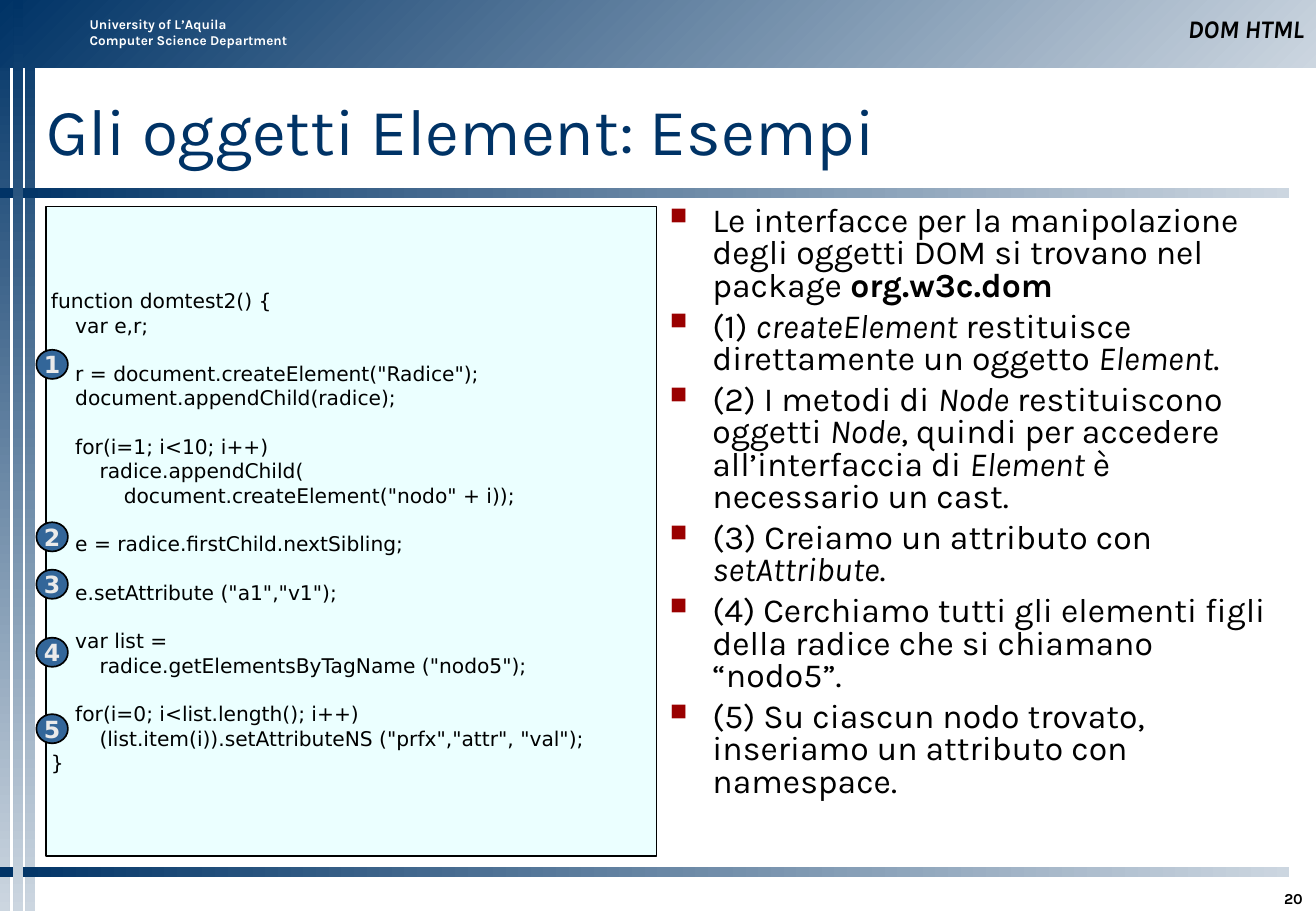
"""Build the slide with DOM Element examples: code on the left, notes on the right."""
from dataclasses import dataclass, field
from typing import Any

import lxml.etree
import pptx
import pptx.dml.color
import pptx.enum.shapes
import pptx.enum.text
import pptx.oxml.ns
import pptx.util

Inches = pptx.util.Inches
Pt = pptx.util.Pt
RGBColor = pptx.dml.color.RGBColor
Shape = pptx.enum.shapes.MSO_SHAPE
Align = pptx.enum.text.PP_ALIGN
Anchor = pptx.enum.text.MSO_ANCHOR

NAVY = RGBColor(0x00, 0x33, 0x66)
MIST = RGBColor(0xCC, 0xD6, 0xE0)
STEEL = RGBColor(0x33, 0x66, 0x99)
SILVER = RGBColor(0xEA, 0xEA, 0xEA)
ICE = RGBColor(0xEB, 0xFF, 0xFF)
CRIMSON = RGBColor(0x9A, 0x00, 0x00)
BLACK = RGBColor(0x00, 0x00, 0x00)
WHITE = RGBColor(0xFF, 0xFF, 0xFF)

HEADING_FONT = "Karla"
CODE_FONT = "DejaVu Sans"
BAR = 0.08
CODE_INDENT = 0.2
CODE_LINE = Pt(14.4)


@dataclass(frozen=True)
class Box:
    left: float
    top: float
    width: float
    height: float

    def emu(self) -> tuple[int, ...]:
        return tuple(Inches(side) for side in (self.left, self.top, self.width, self.height))


@dataclass(frozen=True)
class Band:
    box: Box
    angle: int


@dataclass(frozen=True)
class Span:
    text: str
    style: dict[str, Any] = field(default_factory=dict)


@dataclass(frozen=True)
class Paragraph:
    spans: tuple[Span, ...]
    layout: dict[str, Any] = field(default_factory=dict)
    margin: float = 0
    bullet: bool = False


@dataclass(frozen=True)
class Copy:
    paragraphs: list[Paragraph]
    font: dict[str, Any]
    color: RGBColor
    insets: tuple[float, float, float, float] = (0, 0, 0, 0)
    frame: dict[str, Any] = field(default_factory=dict)


def italic(text: str) -> Span:
    return Span(text, {"italic": True})


def single(text: str, **layout: Any) -> list[Paragraph]:
    return [Paragraph((Span(text),), layout)]


def note(*parts: str | Span) -> Paragraph:
    spans = tuple(Span(part) if isinstance(part, str) else part for part in parts)
    return Paragraph(spans, {"line_spacing": 0.8, "space_before": Pt(5)}, 0.35, True)


BANDS = [
    Band(Box(0, 0, BAR, 7.5), 270),
    Band(Box(0.21, 0, BAR, 7.5), 270),
    Band(Box(0, 0, 10.84, 0.56), 315),
    Band(Box(0, 1.55, 10.62, BAR), 0),
    Band(Box(0, 7.14, 10.62, BAR), 0),
    Band(Box(0.11, 0, BAR, 7.5), 270),
]

NOTES = [
    note("Le interfacce per la manipolazione degli oggetti DOM si trovano nel package ",
         Span("org.w3c.dom", {"bold": True})),
    note("(1) ", italic("createElement"), " restituisce direttamente un oggetto ",
         italic("Element"), "."),
    note("(2) I metodi di ", italic("Node"), " restituiscono oggetti ", italic("Node"),
         ", quindi per accedere all’interfaccia di ", italic("Element"),
         " è necessario un cast."),
    note("(3) Creiamo un attributo con ", italic("setAttribute"), "."),
    note("(4) Cerchiamo tutti gli elementi figli della radice che si chiamano “nodo5”."),
    note("(5) Su ciascun nodo trovato, inseriamo un attributo con namespace."),
]

CODE_BLOCKS = [
    [(0, "function domtest2() {"), (1, "var e,r;")],
    [(1, 'r = document.createElement("Radice");'), (1, "document.appendChild(radice);")],
    [(1, "for(i=1; i<10; i++)"), (2, "radice.appendChild("),
     (3, 'document.createElement("nodo" + i));')],
    [(1, "e = radice.firstChild.nextSibling;")],
    [(1, 'e.setAttribute ("a1","v1");')],
    [(1, "var list ="), (2, 'radice.getElementsByTagName ("nodo5");')],
    [(1, "for(i=0; i<list.length(); i++)"),
     (2, '(list.item(i)).setAttributeNS ("prfx","attr", "val");'), (0, "}")],
]
CODE = [
    Paragraph((Span(text),),
              {"space_before": CODE_LINE if block_no and not line_no else Pt(0)},
              depth * CODE_INDENT)
    for block_no, block in enumerate(CODE_BLOCKS)
    for line_no, (depth, text) in enumerate(block)
]

BADGE_TOPS = [2.88, 4.3, 4.69, 5.25, 5.88]

LABELS = [
    (Box(0.64, 0.08, 2.01, 0.37), Copy(
        single("University of L’Aquila\vComputer Science Department", space_before=Pt(5)),
        {"name": HEADING_FONT, "size": Pt(8), "bold": True}, WHITE,
        (0.1, 0.05, 0.1, 0.05))),
    (Box(5.42, 1.7, 5.21, 5.42), Copy(
        NOTES, {"name": HEADING_FONT, "size": Pt(20)}, BLACK, (0.1, 0, 0.1, 0))),
    (Box(0.38, 0.58, 10.27, 0.96), Copy(
        single("Gli oggetti Element: Esempi"),
        {"name": HEADING_FONT, "size": Pt(39)}, NAVY,
        frame={"vertical_anchor": Anchor.MIDDLE})),
    (Box(9.65, 7.22, 1.18, 0.25), Copy(
        single("20", alignment=Align.RIGHT),
        {"name": HEADING_FONT, "size": Pt(9), "bold": True}, BLACK, (0.1, 0.05, 0.1, 0),
        {"vertical_anchor": Anchor.BOTTOM, "word_wrap": False})),
    (Box(5.6, 0.08, 5.24, 0.33), Copy(
        single("DOM HTML", alignment=Align.RIGHT),
        {"name": HEADING_FONT, "size": Pt(15), "bold": True, "italic": True}, BLACK,
        (0.1, 0.05, 0.1, 0.05), {"vertical_anchor": Anchor.BOTTOM})),
]


def apply(target: Any, values: dict[str, Any]) -> None:
    for name, value in values.items():
        setattr(target, name, value)


def add_bullet(properties: Any) -> None:
    qn = pptx.oxml.ns.qn
    color = lxml.etree.SubElement(properties, qn("a:buClr"))
    lxml.etree.SubElement(color, qn("a:srgbClr"), val=str(CRIMSON))
    lxml.etree.SubElement(properties, qn("a:buSzPct"), val="70000")
    lxml.etree.SubElement(properties, qn("a:buChar"), char="■")


def write(frame: Any, copy: Copy) -> None:
    sides = ("margin_left", "margin_top", "margin_right", "margin_bottom")
    insets = {side: Inches(inset) for side, inset in zip(sides, copy.insets)}
    apply(frame, {"word_wrap": True, "vertical_anchor": Anchor.TOP, **insets, **copy.frame})
    for number, paragraph in enumerate(copy.paragraphs):
        line = frame.add_paragraph() if number else frame.paragraphs[0]
        apply(line, {"alignment": Align.LEFT, **paragraph.layout})
        properties = line._p.get_or_add_pPr()
        properties.set("marL", str(Inches(paragraph.margin)))
        if paragraph.bullet:
            properties.set("indent", str(-Inches(paragraph.margin)))
            add_bullet(properties)
        for span in paragraph.spans:
            for part_no, part in enumerate(span.text.split("\v")):
                if part_no:
                    line.add_line_break()
                run = line.add_run()
                run.text = part
                apply(run.font, {**copy.font, **span.style})
                run.font.color.rgb = copy.color


def add_band(slide: Any, band: Band) -> None:
    stripe = slide.shapes.add_shape(Shape.RECTANGLE, *band.box.emu())
    stripe.shadow.inherit = False
    stripe.line.fill.background()
    stripe.fill.gradient()
    stripe.fill.gradient_angle = band.angle
    for stop, color in zip(stripe.fill.gradient_stops, (NAVY, MIST)):
        stop.color.rgb = color


def add_panel(slide: Any, outline: Any, box: Box, fill: RGBColor, copy: Copy) -> None:
    panel = slide.shapes.add_shape(outline, *box.emu())
    panel.shadow.inherit = False
    panel.fill.solid()
    panel.fill.fore_color.rgb = fill
    panel.line.color.rgb = BLACK
    panel.line.width = Pt(1)
    write(panel.text_frame, copy)


def main() -> None:
    deck = pptx.Presentation()
    apply(deck, {"slide_width": Inches(10.84), "slide_height": Inches(7.5)})
    slide = deck.slides.add_slide(deck.slide_layouts[6])
    for band in BANDS:
        add_band(slide, band)
    for box, copy in LABELS:
        write(slide.shapes.add_textbox(*box.emu()).text_frame, copy)
    add_panel(slide, Shape.RECTANGLE, Box(0.38, 1.7, 5.03, 5.35), ICE, Copy(
        CODE, {"name": CODE_FONT, "size": Pt(12)}, BLACK, (0.04,) * 4,
        {"vertical_anchor": Anchor.MIDDLE}))
    for number, top in enumerate(BADGE_TOPS, 1):
        add_panel(slide, Shape.OVAL, Box(0.3, top, 0.26, 0.24), STEEL, Copy(
            single(str(number), alignment=Align.CENTER, space_before=Pt(8.8)),
            {"name": CODE_FONT, "size": Pt(14), "bold": True}, SILVER,
            frame={"vertical_anchor": Anchor.MIDDLE, "word_wrap": False}))
    deck.save("out.pptx")


if __name__ == "__main__":
    main()
